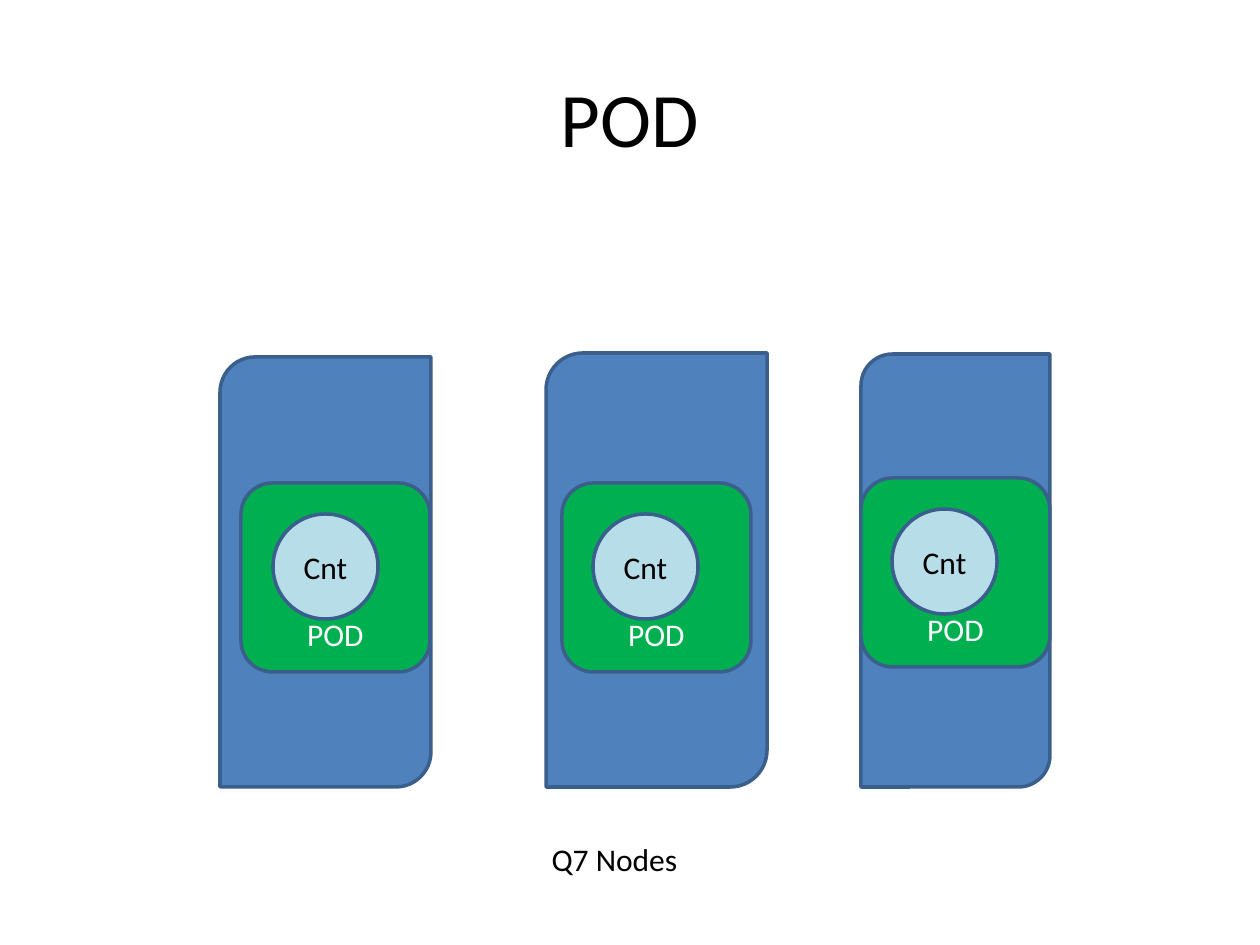
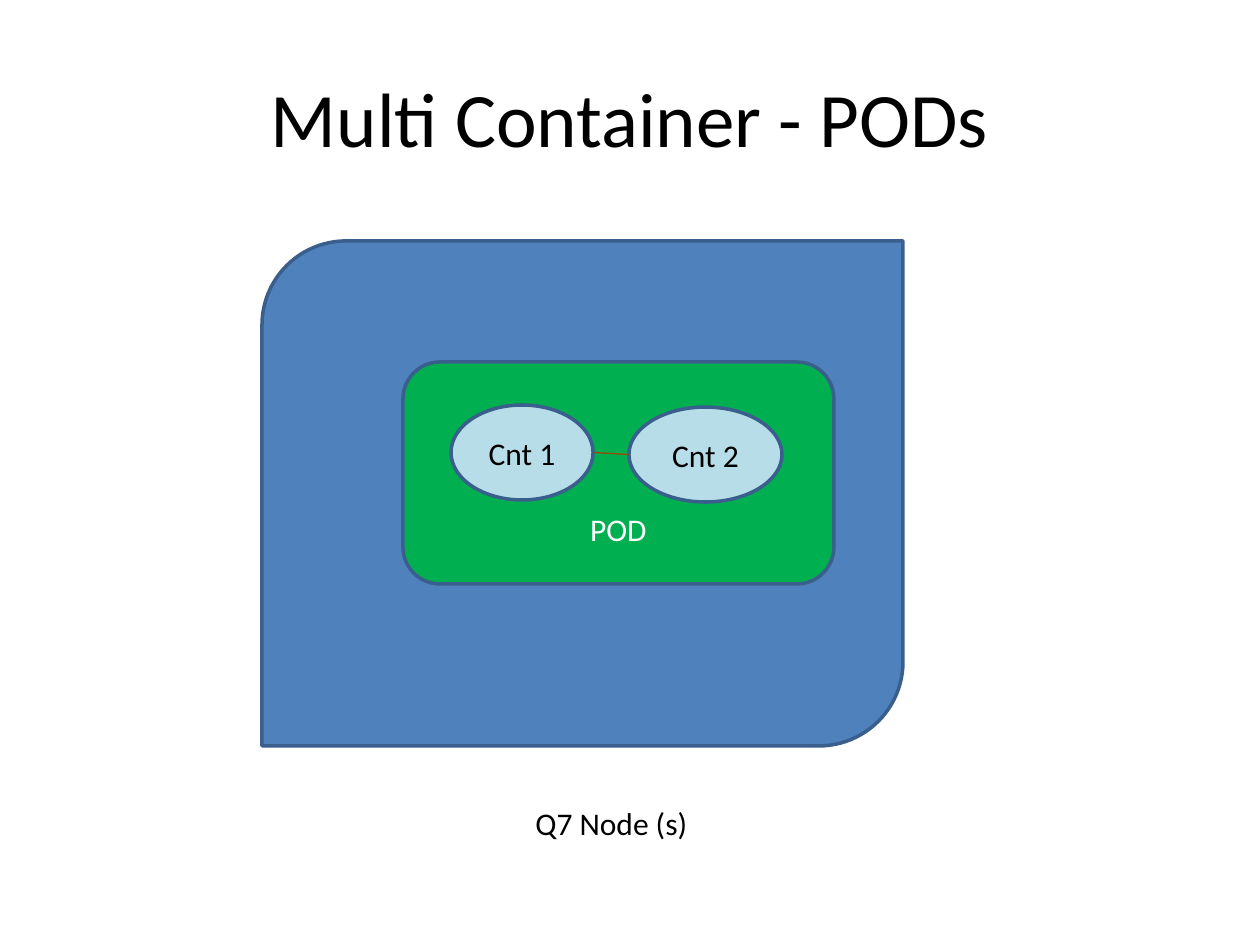
from lxml import etree
from pptx import Presentation
from pptx.dml.color import RGBColor
from pptx.enum.shapes import MSO_CONNECTOR as Connector, MSO_SHAPE as Preset
from pptx.enum.text import MSO_ANCHOR as Anchor, PP_ALIGN as Align
from pptx.oxml.ns import qn
from pptx.util import Emu, Pt

# Content: boxes are (left, top, width, height) in px
SLIDES = [
    {
        "title": "POD",
        "caption": ("Q7 Nodes", (273, 834, 683, 50), Align.CENTER),
        "nodes": [
            {"box": (220, 357, 211, 430), "pod": (241, 483, 189, 189),
             "containers": [("Cnt", (32, 31, 105, 105))]},
            {"box": (546, 353, 221, 434), "pod": (562, 483, 189, 189),
             "containers": [("Cnt", (31, 31, 105, 105))]},
            {"box": (861, 354, 189, 433), "pod": (861, 478, 189, 189),
             "containers": [("Cnt", (31, 31, 105, 105))]},
        ],
    },
    {
        "title": "Multi Container - PODs",
        "caption": ("Q7 Node (s)", (523, 798, 213, 50), Align.LEFT),
        "nodes": [
            {"box": (262, 241, 641, 505), "pod": (403, 362, 431, 222),
             "containers": [("Cnt 1", (48, 43, 142, 95)),
                            ("Cnt 2", (226, 45, 153, 95))]},
        ],
    },
]

# Shared style
COLORS = {"node": "4F81BD", "pod": "00B050", "container": "B7DEE8",
          "outline": "3A5F8C", "link": "984807",
          "dark": "000000", "light": "FFFFFF"}
FONT = "Calibri"
TITLE_BOX = (63, 38, 1134, 157)
POD_TEXT_BLOCK = 150  # the label sits at the foot of a centred four-line block
CORNER_INSET = 0.05   # text inset of a rounded rectangle, as a share of height


def px(value):
    return Emu(round(value * 914400 / 126))


def rgb(name):
    return RGBColor.from_string(COLORS[name])


def write(shape, text, size, color, align, anchor):
    frame = shape.text_frame
    frame.text = text
    frame.word_wrap = True
    frame.vertical_anchor = anchor
    paragraph = frame.paragraphs[0]
    paragraph.alignment = align
    font = paragraph.runs[0].font
    font.name, font.size, font.color.rgb = FONT, Pt(size), rgb(color)


def add_box(slide, preset, box, fill):
    shape = slide.shapes.add_shape(preset, *map(px, box))
    shape.shadow.inherit = False
    shape.fill.solid()
    shape.fill.fore_color.rgb = rgb(fill)
    shape.line.color.rgb = rgb("outline")
    shape.line.width = Pt(2)
    return shape


def add_link(slide, first, second):
    """Join the right side of one container to the left side of the next."""
    line = slide.shapes.add_connector(
        Connector.STRAIGHT,
        first.left + first.width, first.top + first.height // 2,
        second.left, second.top + second.height // 2)
    line.line.color.rgb = rgb("link")
    line.line.width = Pt(0.75)
    etree.SubElement(line._element.spPr, qn("a:effectLst"))


def add_node(slide, node):
    add_box(slide, Preset.ROUND_2_DIAG_RECTANGLE, node["box"], "node")

    # Pod with its label near the bottom
    left, top, _, height = node["pod"]
    pod = add_box(slide, Preset.ROUNDED_RECTANGLE, node["pod"], "pod")
    write(pod, "POD", 18, "light", Align.CENTER, Anchor.BOTTOM)
    pod.text_frame.margin_bottom = px(
        (height - POD_TEXT_BLOCK) / 2 - CORNER_INSET * height)

    # Containers, placed relative to the pod
    containers = []
    for label, (dx, dy, width, tall) in node["containers"]:
        container = add_box(slide, Preset.OVAL,
                            (left + dx, top + dy, width, tall), "container")
        write(container, label, 18, "dark", Align.CENTER, Anchor.MIDDLE)
        containers.append(container)
    for first, second in zip(containers, containers[1:]):
        add_link(slide, first, second)


def add_slide(presentation, content):
    slide = presentation.slides.add_slide(presentation.slide_layouts[5])
    title = slide.shapes.title
    title.left, title.top, title.width, title.height = map(px, TITLE_BOX)
    write(title, content["title"], 44, "dark", Align.CENTER, Anchor.MIDDLE)

    for node in content["nodes"]:
        add_node(slide, node)

    text, box, align = content["caption"]
    caption = slide.shapes.add_textbox(*map(px, box))
    write(caption, text, 18, "dark", align, Anchor.TOP)


def main():
    presentation = Presentation()
    presentation.slide_width, presentation.slide_height = px(1260), px(945)
    for content in SLIDES:
        add_slide(presentation, content)
    presentation.save("out.pptx")


if __name__ == "__main__":
    main()
